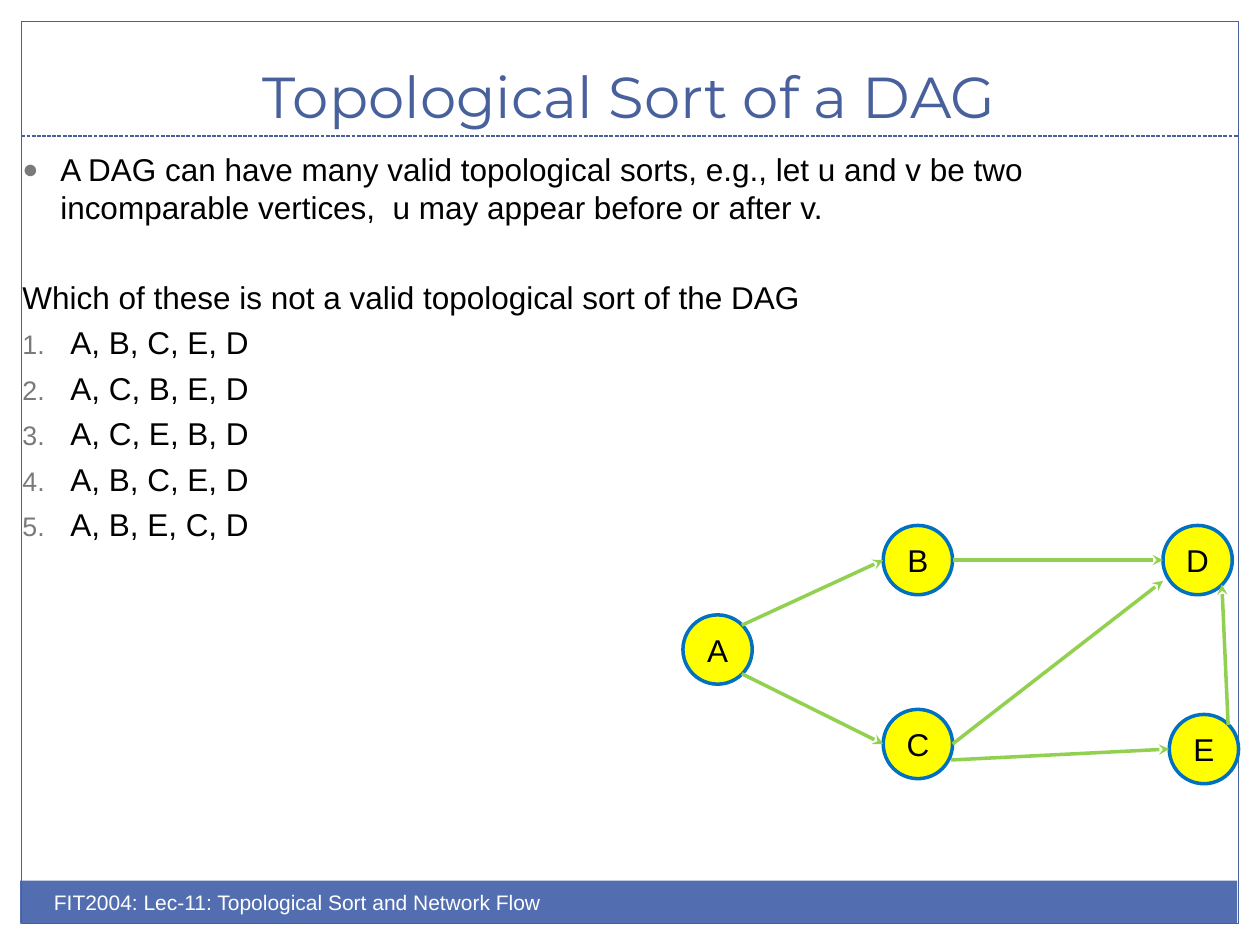
from dataclasses import dataclass

from pptx import Presentation
from pptx.dml.color import RGBColor
from pptx.enum.dml import MSO_LINE
from pptx.enum.shapes import MSO_CONNECTOR, MSO_SHAPE
from pptx.enum.text import MSO_ANCHOR, MSO_AUTO_SIZE, PP_ALIGN
from pptx.oxml.ns import qn
from pptx.util import Inches, Pt
from lxml.etree import SubElement


@dataclass(frozen=True)
class Theme:
    body_font: str = "Arial"
    title_font: str = "Montserrat"
    title_size: float = 33
    body_size: float = 18
    footer_size: float = 12
    accent: str = "48609B"
    band: str = "526DB0"
    text: str = "000000"
    light: str = "FFFFFF"
    marker: str = "7A7A7A"
    node_fill: str = "FFFF00"
    node_line: str = "0070C0"
    edge: str = "92D050"
    thin: float = 0.75
    thick: float = 2


THEME = Theme()
NODE_SIZE = 0.55
NODES = {"A": (5.42, 4.88), "B": (7.01, 4.17), "C": (7.01, 5.63),
         "D": (9.23, 4.17), "E": (9.28, 5.67)}

# Ports are fractions of a node's width and height.
LEFT, RIGHT = (0, 0.5), (1, 0.5)
UPPER_RIGHT, LOWER_RIGHT = (0.85, 0.15), (0.85, 0.85)
LOW_LEFT, LOW_RIGHT = (0, 0.8), (0.98, 0.73)
EDGES = [("A", UPPER_RIGHT, "B", LEFT), ("A", LOWER_RIGHT, "C", LEFT),
         ("B", RIGHT, "D", LEFT), ("E", UPPER_RIGHT, "D", LOWER_RIGHT),
         ("C", RIGHT, "D", LOW_LEFT), ("C", LOW_RIGHT, "E", LEFT)]

STATEMENT = ("A DAG can have many valid topological sorts, e.g., let u and v be two "
             "incomparable vertices,  u may appear before or after v.")
QUESTION = "Which of these is not a valid topological sort of the DAG"
ANSWERS = ["A, B, C, E, D", "A, C, B, E, D", "A, C, E, B, D",
           "A, B, C, E, D", "A, B, E, C, D"]


def port_position(node, port):
    return tuple(start + NODE_SIZE * part for start, part in zip(NODES[node], port))


def add_marker(paragraph, kind, indent, **attributes):
    """Give a paragraph a hanging bullet or automatic number."""
    properties = paragraph._p.get_or_add_pPr()
    properties.set("marL", str(Inches(indent)))
    properties.set("indent", str(-Inches(indent)))
    color = SubElement(properties, qn("a:buClr"))
    SubElement(color, qn("a:srgbClr"), val=THEME.marker)
    SubElement(properties, qn("a:buSzPct"), val="85000")
    SubElement(properties, qn("a:buFont"), typeface=THEME.body_font)
    SubElement(properties, qn(kind), **attributes)


def write_text(paragraph, text, size=THEME.body_size, font=THEME.body_font,
               color=THEME.text, align=PP_ALIGN.LEFT, space_before=0):
    paragraph.alignment = align
    paragraph.space_before = Pt(space_before)
    run = paragraph.add_run()
    run.text = text
    run.font.size = Pt(size)
    run.font.name = font
    run.font.color.rgb = RGBColor.from_string(color)


class SlideBuilder:
    def __init__(self, slide, theme):
        self.slide = slide
        self.theme = theme

    def title(self, text, left, top, width, height):
        shape = self.slide.shapes.title
        shape.left, shape.top = Inches(left), Inches(top)
        shape.width, shape.height = Inches(width), Inches(height)
        frame = shape.text_frame
        frame.auto_size = MSO_AUTO_SIZE.NONE
        frame.vertical_anchor = MSO_ANCHOR.BOTTOM
        write_text(frame.paragraphs[0], text, size=self.theme.title_size,
                   font=self.theme.title_font, color=self.theme.accent,
                   align=PP_ALIGN.CENTER)

    def shape(self, kind, left, top, width, height, fill=None, line=None, weight=1):
        shape = self.slide.shapes.add_shape(
            kind, Inches(left), Inches(top), Inches(width), Inches(height))
        shape.shadow.inherit = False
        if fill:
            shape.fill.solid()
            shape.fill.fore_color.rgb = RGBColor.from_string(fill)
        else:
            shape.fill.background()
        if line:
            shape.line.color.rgb = RGBColor.from_string(line)
            shape.line.width = Pt(weight)
        else:
            shape.line.fill.background()
        return shape

    def text_box(self, left, top, width, height):
        box = self.slide.shapes.add_textbox(
            Inches(left), Inches(top), Inches(width), Inches(height))
        box.text_frame.word_wrap = True
        return box.text_frame

    def line(self, start, end, color, weight, dash=None, arrow=False):
        connector = self.slide.shapes.add_connector(
            MSO_CONNECTOR.STRAIGHT, *(Inches(value) for value in (*start, *end)))
        connector.line.color.rgb = RGBColor.from_string(color)
        connector.line.width = Pt(weight)
        if dash:
            connector.line.dash_style = dash
        if arrow:
            SubElement(connector.line._get_or_add_ln(), qn("a:tailEnd"), type="stealth")
        SubElement(connector._element.spPr, qn("a:effectLst"))

    def node(self, label, left, top):
        shape = self.shape(MSO_SHAPE.OVAL, left, top, NODE_SIZE, NODE_SIZE,
                           self.theme.node_fill, self.theme.node_line, self.theme.thick)
        frame = shape.text_frame
        frame.margin_left = frame.margin_right = 0
        frame.margin_top = frame.margin_bottom = 0
        frame.word_wrap = False
        frame.vertical_anchor = MSO_ANCHOR.MIDDLE
        write_text(frame.paragraphs[0], label, align=PP_ALIGN.CENTER)

    def frame(self, footer):
        theme = self.theme
        self.shape(MSO_SHAPE.RECTANGLE, 0.16, 6.99, 9.66, 0.34, fill=theme.band)
        self.shape(MSO_SHAPE.RECTANGLE, 0.17, 0.17, 9.66, 7.16,
                   line=theme.accent, weight=theme.thin)
        self.line((0.17, 1.08), (9.83, 1.08), theme.accent, theme.thin,
                  dash=MSO_LINE.SQUARE_DOT)
        write_text(self.text_box(0.33, 7.01, 5, 0.4).paragraphs[0], footer,
                   size=theme.footer_size, color=theme.light)

    def question(self):
        frame = self.text_box(0.08, 1.14, 9.58, 5)
        statement = frame.paragraphs[0]
        add_marker(statement, "a:buChar", 0.3, char="●")
        write_text(statement, STATEMENT)
        write_text(frame.add_paragraph(), QUESTION, space_before=30)
        for answer in ANSWERS:
            paragraph = frame.add_paragraph()
            add_marker(paragraph, "a:buAutoNum", 0.38, type="arabicPeriod")
            write_text(paragraph, answer, space_before=4.4)

    def graph(self):
        for label, position in NODES.items():
            self.node(label, *position)
        for source, source_port, target, target_port in EDGES:
            self.line(port_position(source, source_port),
                      port_position(target, target_port),
                      self.theme.edge, self.theme.thick, arrow=True)


def main():
    presentation = Presentation()
    presentation.slide_width, presentation.slide_height = Inches(10), Inches(7.5)
    title_only = presentation.slide_layouts[5]
    builder = SlideBuilder(presentation.slides.add_slide(title_only), THEME)
    builder.frame("FIT2004: Lec-11: Topological Sort and Network Flow")
    builder.title("Topological Sort of a DAG", 0.33, 0.25, 9.33, 0.83)
    builder.question()
    builder.graph()
    presentation.save("out.pptx")


if __name__ == "__main__":
    main()
